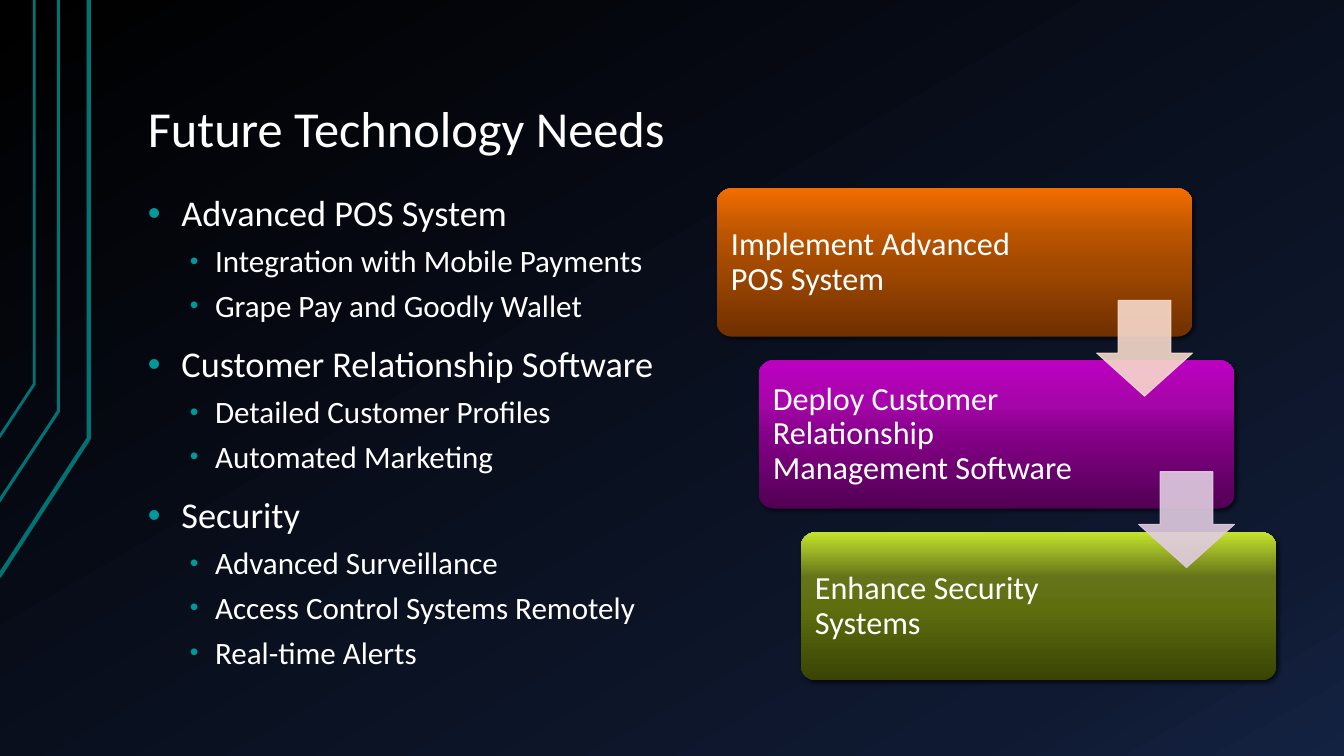
"""Build the slide on future technology needs."""
from dataclasses import dataclass

from lxml import etree
from pptx import Presentation
from pptx.dml.color import RGBColor
from pptx.enum.shapes import MSO_SHAPE
from pptx.enum.text import MSO_ANCHOR
from pptx.oxml.ns import qn
from pptx.util import Pt

ROUND = MSO_SHAPE.ROUNDED_RECTANGLE
DOWN = MSO_SHAPE.DOWN_ARROW
TOP, MIDDLE, BOTTOM = MSO_ANCHOR.TOP, MSO_ANCHOR.MIDDLE, MSO_ANCHOR.BOTTOM
FONT = "Calibri"
HEX = {"text": "FFFFFF", "rail": "007373", "bullet": "009999", "shade": "000000",
       "peach": "F7DACC", "lilac": "E0CCE1"}
NIGHT = ((0, "000000"), (85, "0F1931"), (100, "142242"))


@dataclass
class Rail:
    """A bent line at the left edge."""
    points: tuple
    width: float


@dataclass
class Step:
    """A card of the staircase."""
    text: str
    width: float
    stops: tuple


@dataclass
class Topic:
    """A heading with its details."""
    name: str
    items: tuple


@dataclass
class Level:
    """The look of a bullet level."""
    size: float
    left: float
    hang: float
    before: float
    scale: int


RAILS = (
    Rail(((-0.72, 411.84), (63.36, 313.2), (63.36, 0)), 3),
    Rail(((-1.44, 359.28), (41.76, 293.76), (41.76, 0)), 2.25),
    Rail(((-0.72, 312.48), (24.48, 274.32), (24.48, 0)), 2),
)
STEPS = (
    Step("Implement Advanced POS System", 226,
         ((0, "703000"), (50, "A44A00"), (70, "BC5500"), (100, "F26D00"))),
    Step("Deploy Customer Relationship Management Software", 235.4,
         ((0, "520054"), (50, "850088"), (70, "A505A9"), (100, "BC00C0"))),
    Step("Enhance Security Systems", 235.4,
         ((0, "394404"), (50, "5F6F0F"), (70, "65741A"), (100, "C4E32D"))),
)
TOPICS = (
    Topic("Advanced POS System",
          ("Integration with Mobile Payments", "Grape Pay and Goodly Wallet")),
    Topic("Customer Relationship Software",
          ("Detailed Customer Profiles", "Automated Marketing")),
    Topic("Security", ("Advanced Surveillance", "Access Control Systems Remotely",
                       "Real-time Alerts")),
)
LEVELS = (Level(25.9, 24, -24, 16, 100), Level(22.2, 48, -18, 8, 80))


def node(root, tag: str, **attrs):
    """Append a drawing element and return it."""
    return etree.SubElement(root, qn(tag), {k: str(v) for k, v in attrs.items()})


def blend(root, fill, stops: tuple, angle: int) -> None:
    """Give the element a linear gradient fill."""
    fill.solid()
    flat = root.find(qn("a:solidFill"))
    grad = etree.Element(qn("a:gradFill"), rotWithShape="1")
    chain = node(grad, "a:gsLst")
    for place, color in stops:
        node(node(chain, "a:gs", pos=place * 1000), "a:srgbClr", val=color)
    node(grad, "a:lin", ang=angle * 60000, scaled=0)
    root.replace(flat, grad)


def style(para, size: float) -> None:
    """Set the spacing and font of a paragraph."""
    para.line_spacing = 0.9
    for run in para.runs:
        run.font.name = FONT
        run.font.size = Pt(size)
        run.font.color.rgb = RGBColor.from_string(HEX["text"])


def frame(slide, box: tuple, anchor, side: float, edge: float):
    """Add a wrapping text box and return its frame."""
    text = slide.shapes.add_textbox(*map(Pt, box)).text_frame
    text.word_wrap = True
    text.vertical_anchor = anchor
    text.margin_left = text.margin_right = Pt(side)
    text.margin_top = text.margin_bottom = Pt(edge)
    return text


def label(slide, box: tuple, words: str, size: float, anchor,
          side: float, edge: float) -> None:
    """Add a text box with one paragraph."""
    text = frame(slide, box, anchor, side, edge)
    text.text = words
    style(text.paragraphs[0], size)


def draw_rail(slide, rail: Rail) -> None:
    """Draw a bent line."""
    first, *rest = [(Pt(x), Pt(y)) for x, y in rail.points]
    pen = slide.shapes.build_freeform(*first)
    pen.add_line_segments(rest, close=False)
    shape = pen.convert_to_shape()
    shape.shadow.inherit = False
    shape.fill.background()
    shape.line.color.rgb = RGBColor.from_string(HEX["rail"])
    shape.line.width = Pt(rail.width)


def draw_list(slide) -> None:
    """Write the topics as a two-level bullet list."""
    text = frame(slide, (96, 134.64, 399.6, 351.36), TOP, 9.6, 4.8)
    rows = [row for topic in TOPICS
            for row in ((0, topic.name), *((1, item) for item in topic.items))]
    for spot, (depth, words) in enumerate(rows):
        para = text.add_paragraph() if spot else text.paragraphs[0]
        para.text = words
        para.level = depth
        look = LEVELS[depth]
        style(para, look.size)
        para.space_before = Pt(look.before)
        props = para._p.get_or_add_pPr()
        props.set("marL", str(Pt(look.left)))
        props.set("indent", str(Pt(look.hang)))
        node(node(props, "a:buClr"), "a:srgbClr", val=HEX["bullet"])
        node(props, "a:buSzPct", val=look.scale * 1000)
        node(props, "a:buFont", typeface="Arial")
        node(props, "a:buChar", char="•")


def draw_step(slide, spot: int, step: Step) -> None:
    """Draw a card and its label."""
    left, top = 511.92 + 30 * spot, 134.64 + 122.8 * spot
    card = slide.shapes.add_shape(ROUND, *map(Pt, (left, top, 339.84, 105.84)))
    card.adjustments[0] = 0.1
    card.line.fill.background()
    card.shadow.inherit = False
    props = card.element.spPr
    blend(props, card.fill, step.stops, 270)
    shade = node(props.find(qn("a:effectLst")), "a:outerShdw", blurRad=Pt(3),
                 dist=Pt(2), dir=45 * 60000, algn="ctr", rotWithShape=0)
    color = node(shade, "a:srgbClr", val=HEX["shade"])
    node(color, "a:alpha", val=60000)
    label(slide, (left + 3.1, top + 3.1, step.width, 99.64), step.text,
          23, MIDDLE, 7.2, 7.2)


def draw_arrow(slide, spot: int, tint: str) -> None:
    """Draw a translucent arrow between two cards."""
    box = (783.36 + 30 * spot, 214.56 + 122.4 * spot, 68.4, 68.4)
    arrow = slide.shapes.add_shape(DOWN, *map(Pt, box))
    arrow.adjustments[0], arrow.adjustments[1] = 0.55, 0.45
    arrow.shadow.inherit = False
    arrow.line.width = Pt(0.75)
    for fill in (arrow.fill, arrow.line.fill):
        fill.solid()
        fill.fore_color.rgb = RGBColor.from_string(HEX[tint])
    for color in arrow.element.spPr.iter(qn("a:srgbClr")):
        node(color, "a:alpha", val=90000)


def main() -> None:
    """Build and save the deck."""
    deck = Presentation()
    deck.slide_width, deck.slide_height = Pt(960), Pt(540)
    slide = deck.slides.add_slide(deck.slide_layouts[6])
    fill = slide.background.fill
    fill.solid()
    blend(slide.element.find(".//" + qn("p:bgPr")), fill, NIGHT, 60)
    for rail in RAILS:
        draw_rail(slide, rail)
    label(slide, (96, 21.6, 815.76, 96.48), "Future Technology Needs",
          36, BOTTOM, 9.6, 4.8)
    draw_list(slide)
    for spot, step in enumerate(STEPS):
        draw_step(slide, spot, step)
    for spot, tint in enumerate(("peach", "lilac")):
        draw_arrow(slide, spot, tint)
    deck.save("out.pptx")


if __name__ == "__main__":
    main()
